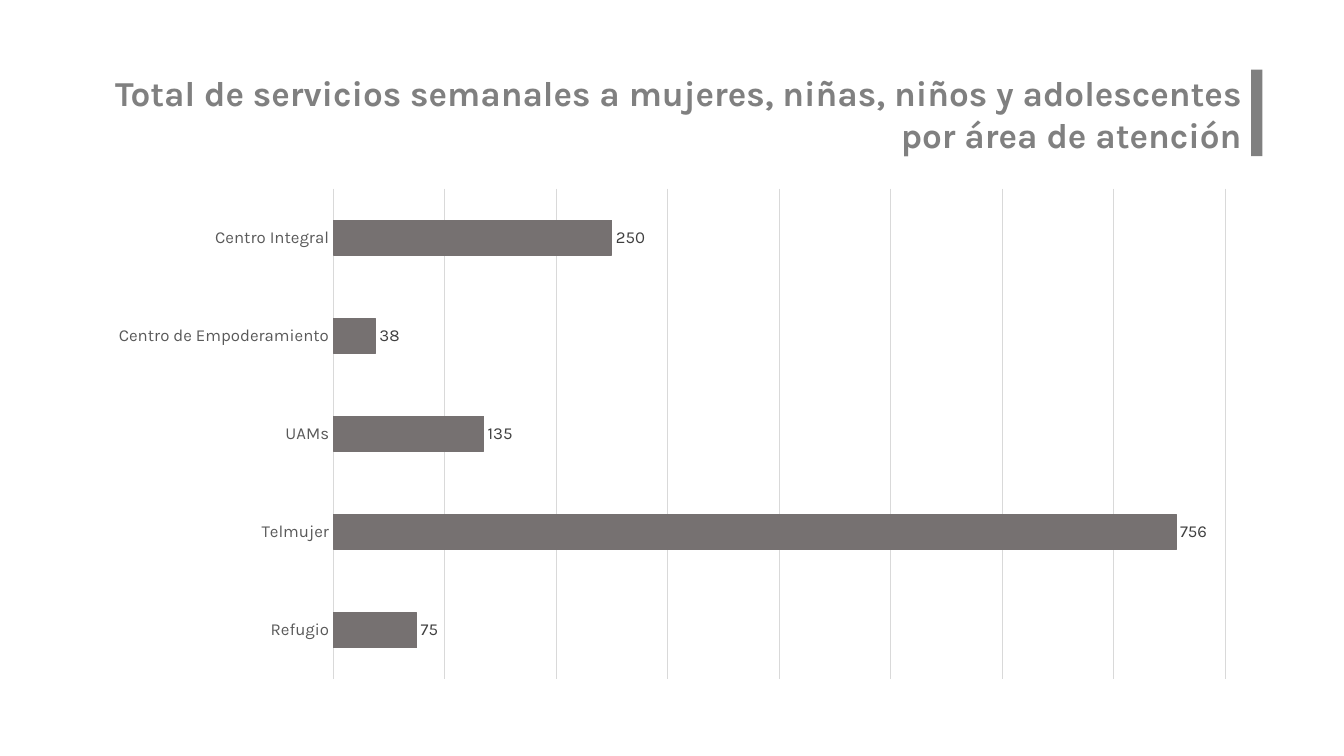
from dataclasses import dataclass

from pptx import Presentation
from pptx import util as u
from pptx.chart import data
from pptx.dml.color import RGBColor
from pptx.enum import chart as ch, shapes, text


@dataclass(frozen=True)
class Theme:
    font: str = "Karla"
    heading: str = "808080"
    bars: str = "767171"
    grid: str = "D9D9D9"
    areas: str = "595959"
    counts: str = "404040"
    chart_text: str = "000000"
    heading_size: int = 25
    label_size: int = 12
    chart_size: int = 10
    line_width: float = 0.75


THEME = Theme()
HEADING = ("Total de servicios semanales a mujeres, niñas, niños y "
           "adolescentes por área de atención")
SERVICES = {
    "Centro Integral": 250,
    "Centro de Empoderamiento": 38,
    "UAMs": 135,
    "Telmujer": 756,
    "Refugio": 75,
}


def box(left, top, width, height):
    return [u.Inches(side) for side in (left, top, width, height)]


def style_font(font, size, color, bold=False):
    font.name = THEME.font
    font.size = u.Pt(size)
    font.bold = bold
    font.color.rgb = RGBColor.from_string(color)


def style_line(line, color):
    line.color.rgb = RGBColor.from_string(color)
    line.width = u.Pt(THEME.line_width)


def fill_solid(fill, color):
    fill.solid()
    fill.fore_color.rgb = RGBColor.from_string(color)


def add_accent(slide, area):
    accent = slide.shapes.add_shape(shapes.MSO_SHAPE.RECTANGLE, *area)
    accent.shadow.inherit = False
    fill_solid(accent.fill, THEME.heading)
    accent.line.fill.background()


def add_heading(slide, area, wording):
    frame = slide.shapes.add_textbox(*area).text_frame
    frame.word_wrap = True
    frame.auto_size = text.MSO_AUTO_SIZE.SHAPE_TO_FIT_TEXT
    heading = frame.paragraphs[0]
    heading.text = wording
    heading.alignment = text.PP_ALIGN.RIGHT
    style_font(heading.font, THEME.heading_size, THEME.heading, bold=True)


def style_area_axis(axis):
    axis.reverse_order = True
    axis.major_tick_mark = ch.XL_TICK_MARK.NONE
    axis.minor_tick_mark = ch.XL_TICK_MARK.NONE
    style_font(axis.tick_labels.font, THEME.label_size, THEME.areas)
    style_line(axis.format.line, THEME.grid)


def style_count_axis(axis):
    axis.visible = False
    axis.minimum_scale, axis.maximum_scale, axis.major_unit = 0, 800, 100
    axis.has_major_gridlines = True
    style_line(axis.major_gridlines.format.line, THEME.grid)


def style_bars(plot):
    plot.gap_width = 182
    plot.vary_by_categories = False
    bars = plot.series[0]
    fill_solid(bars.format.fill, THEME.bars)
    style_line(bars.format.line, THEME.bars)
    counts = bars.data_labels
    counts.show_value = True
    counts.position = ch.XL_LABEL_POSITION.OUTSIDE_END
    style_font(counts.font, THEME.label_size, THEME.counts)


def add_services_chart(slide, area, services):
    figures = data.CategoryChartData()
    figures.categories = list(services)
    figures.add_series("Series 1", list(services.values()))
    chart = slide.shapes.add_chart(
        ch.XL_CHART_TYPE.BAR_CLUSTERED, *area, figures).chart
    chart.has_legend = False
    chart.has_title = False
    style_font(chart.font, THEME.chart_size, THEME.chart_text)
    style_area_axis(chart.category_axis)
    style_count_axis(chart.value_axis)
    style_bars(chart.plots[0])


def main():
    deck = Presentation()
    deck.slide_width, deck.slide_height = u.Inches(13.33), u.Inches(7.5)
    slide = deck.slides.add_slide(deck.slide_layouts[6])
    add_accent(slide, box(12.41, 0.69, 0.11, 0.86))
    add_heading(slide, box(0.69, 0.66, 11.72, 0.94), HEADING)
    add_services_chart(slide, box(0.95, 1.77, 11.43, 5.07), SERVICES)
    deck.save("out.pptx")


main()
